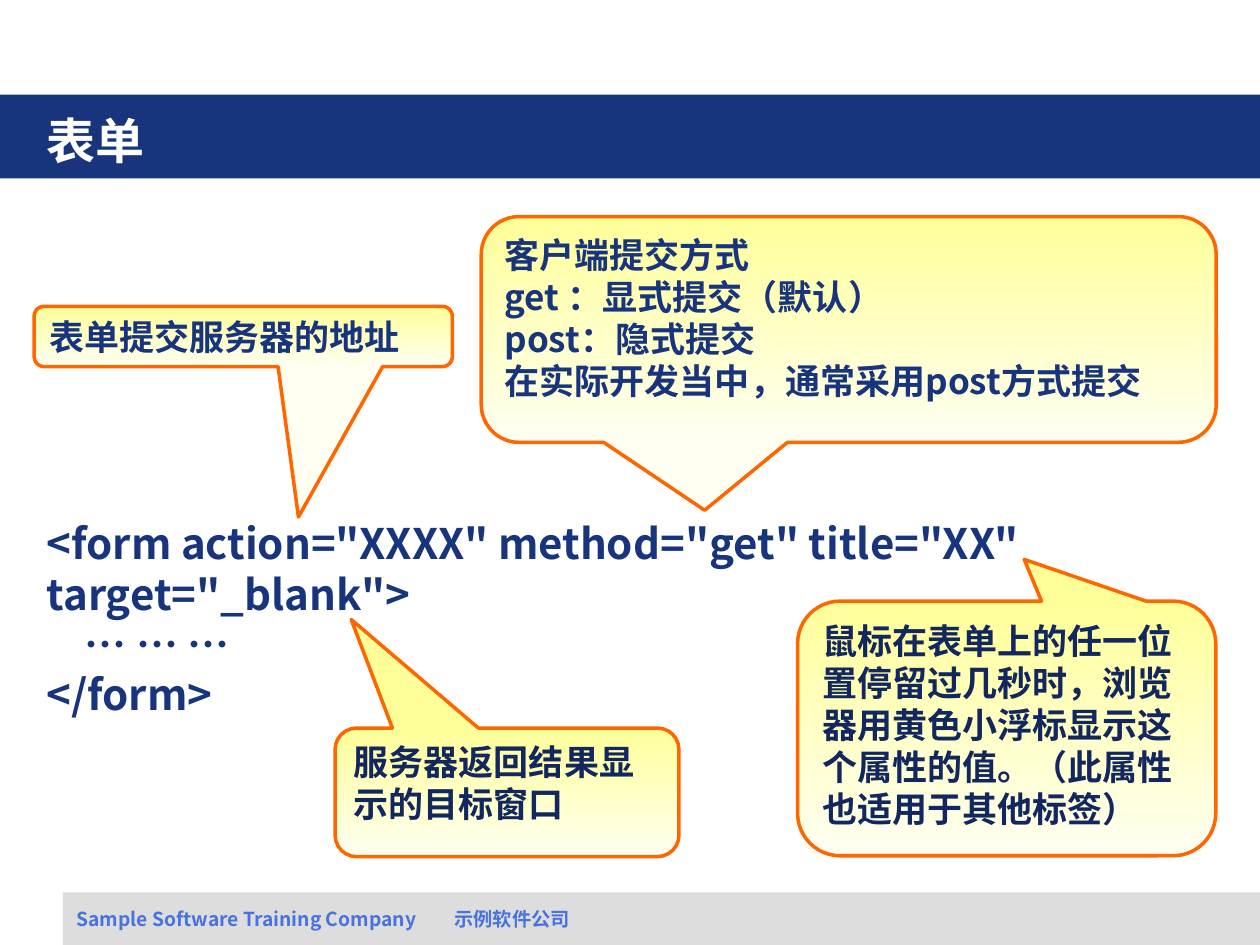
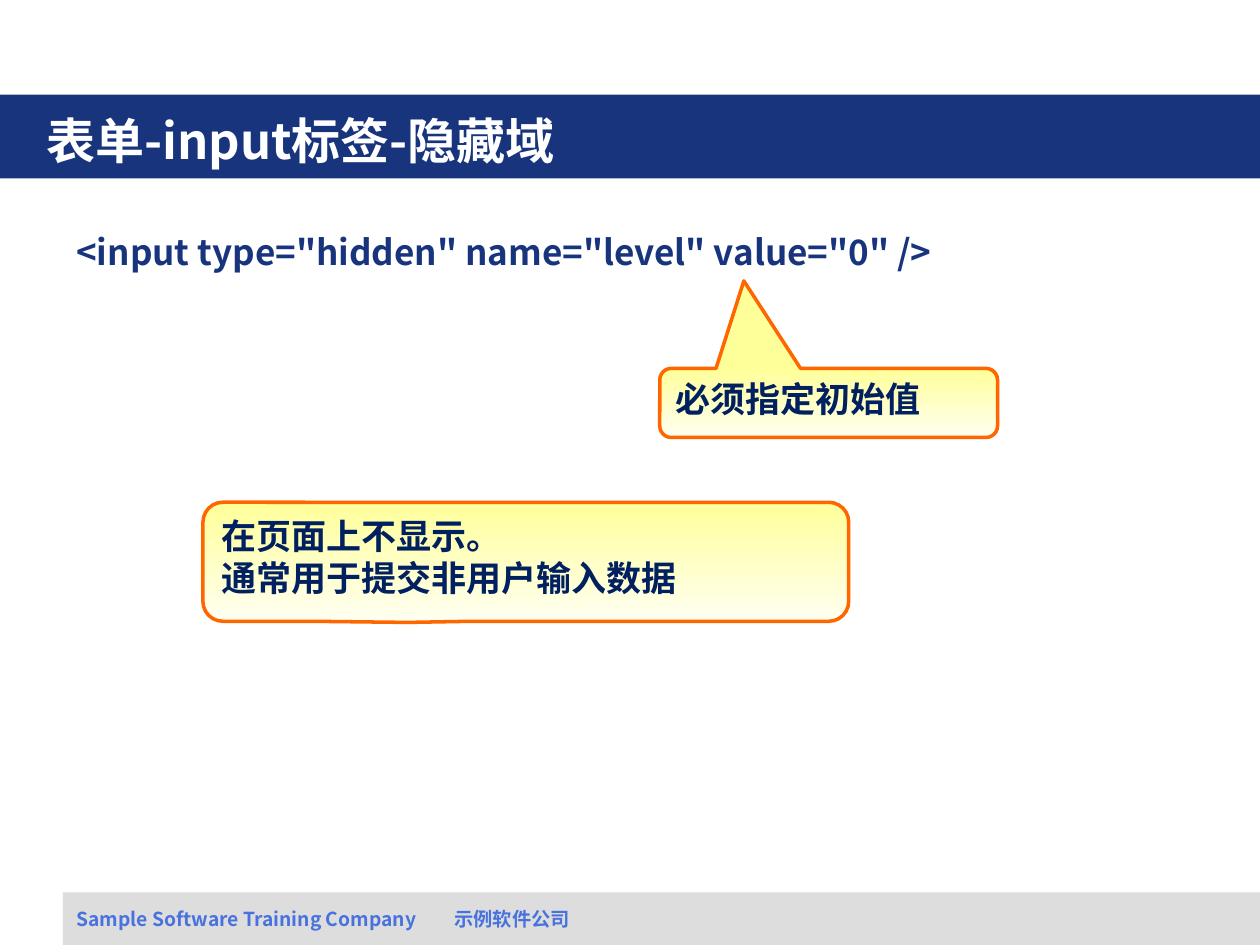
"""Builds two slides on HTML forms with annotated code."""
from dataclasses import dataclass

from lxml import etree
from pptx import Presentation
from pptx.dml.color import RGBColor
from pptx.enum.shapes import MSO_SHAPE
from pptx.enum.text import MSO_ANCHOR, PP_ALIGN
from pptx.oxml.ns import qn
from pptx.shapes.autoshape import Shape
from pptx.slide import Slide
from pptx.util import Pt

RECTANGLE = MSO_SHAPE.RECTANGLE
CALLOUT = MSO_SHAPE.ROUNDED_RECTANGULAR_CALLOUT
TOP, MIDDLE = MSO_ANCHOR.TOP, MSO_ANCHOR.MIDDLE
LEFT = PP_ALIGN.LEFT


@dataclass(frozen=True)
class Theme:
    font: str = "Noto Sans CJK SC"
    navy: str = "17347D"
    dark_navy: str = "11275E"
    midnight: str = "002060"
    white: str = "FFFFFF"
    footer_band: str = "DDDDDD"
    footer_text: str = "4872DD"
    callout_top: str = "FFFF99"
    callout_bottom: str = "FFFFF2"
    callout_line: str = "FF6600"
    title_size: int = 28
    code_size: int = 24
    body_size: int = 20
    footer_size: int = 11


THEME = Theme()
SLIDE_WIDTH, SLIDE_HEIGHT = 720, 540
CORNER = 0.167
FOOTER = "Sample Software Training Company\t示例软件公司"
FOOTER_TAB = 193


@dataclass(frozen=True)
class Box:
    left: float
    top: float
    width: float
    height: float

    def lengths(self) -> tuple[Pt, Pt, Pt, Pt]:
        return Pt(self.left), Pt(self.top), Pt(self.width), Pt(self.height)


@dataclass(frozen=True)
class Style:
    size: int
    color: str
    anchor: MSO_ANCHOR = TOP


@dataclass(frozen=True)
class Callout:
    box: Box
    tip: tuple[float, float]
    text: str
    color: str


@dataclass(frozen=True)
class Page:
    title: str
    code: str
    code_box: Box
    code_size: int
    callouts: tuple[Callout, ...]


TITLE_BAND = Box(0, 54, SLIDE_WIDTH, 48)
TITLE_BOX = Box(19.5, 57.5, 595, 44.5)
FOOTER_BAND = Box(36, 510, SLIDE_WIDTH - 36, 30)
FOOTER_BOX = Box(36.5, 514.75, 657, 25)

PAGES = (
    Page(
        "表单",
        '<form action="XXXX" method="get" title="XX" target="_blank">\n'
        "    … … …\n"
        "</form>",
        Box(19.5, 292.25, 686, 122.5),
        THEME.code_size,
        (
            Callout(Box(19.5, 175, 239, 34.5), (0.132, 2.991),
                    "表单提交服务器的地址", THEME.navy),
            Callout(Box(275, 123.75, 420, 129), (-0.196, 0.801),
                    "客户端提交方式\nget ：显式提交（默认）\npost：隐式提交\n"
                    "在实际开发当中，通常采用post方式提交", THEME.navy),
            Callout(Box(455.75, 343.5, 239, 145.5), (0.042, -0.664),
                    "鼠标在表单上的任一位置停留过几秒时，浏览器用黄色小浮标"
                    "显示这个属性的值。（此属性也适用于其他标签）", THEME.dark_navy),
            Callout(Box(191.5, 416, 196.5, 73.5), (-0.453, -1.344),
                    "服务器返回结果显示的目标窗口", THEME.dark_navy),
        ),
    ),
    Page(
        "表单-input标签-隐藏域",
        '<input type="hidden" name="level" value="0" />',
        Box(36.5, 128, 641, 31.5),
        THEME.body_size,
        (
            Callout(Box(377, 210.5, 193, 39.5), (-0.251, -1.766),
                    "必须指定初始值", THEME.midnight),
            Callout(Box(116, 287, 369, 68), (-0.183, 0.51),
                    "在页面上不显示。\n通常用于提交非用户输入数据", THEME.midnight),
        ),
    ),
)


def write(shape: Shape, text: str, style: Style) -> None:
    frame = shape.text_frame
    frame.text = text
    frame.word_wrap = True
    frame.vertical_anchor = style.anchor
    for paragraph in frame.paragraphs:
        paragraph.alignment = LEFT
        for run in paragraph.runs:
            run.font.size = Pt(style.size)
            run.font.bold = True
            run.font.color.rgb = RGBColor.from_string(style.color)
            run.font.name = THEME.font
            east_asian = etree.SubElement(run.font._element, qn("a:ea"))
            east_asian.set("typeface", THEME.font)


def add_text(slide: Slide, box: Box, text: str, style: Style) -> Shape:
    label = slide.shapes.add_textbox(*box.lengths())
    write(label, text, style)
    return label


def add_band(slide: Slide, box: Box, color: str) -> None:
    band = slide.shapes.add_shape(RECTANGLE, *box.lengths())
    band.shadow.inherit = False
    band.fill.solid()
    band.fill.fore_color.rgb = RGBColor.from_string(color)
    band.line.fill.background()


def add_callout(slide: Slide, callout: Callout) -> None:
    bubble = slide.shapes.add_shape(CALLOUT, *callout.box.lengths())
    bubble.shadow.inherit = False
    for index, value in enumerate((*callout.tip, CORNER)):
        bubble.adjustments[index] = value
    bubble.fill.gradient()
    bubble.fill.gradient_angle = 270
    colors = (THEME.callout_top, THEME.callout_bottom)
    for stop, color in zip(bubble.fill.gradient_stops, colors):
        stop.color.rgb = RGBColor.from_string(color)
    bubble.line.color.rgb = RGBColor.from_string(THEME.callout_line)
    bubble.line.width = Pt(2)
    write(bubble, callout.text, Style(THEME.body_size, callout.color))


def add_footer(slide: Slide) -> None:
    add_band(slide, FOOTER_BAND, THEME.footer_band)
    footer = add_text(slide, FOOTER_BOX, FOOTER,
                      Style(THEME.footer_size, THEME.footer_text))
    properties = footer.text_frame.paragraphs[0]._p.get_or_add_pPr()
    tabs = etree.SubElement(properties, qn("a:tabLst"))
    etree.SubElement(tabs, qn("a:tab"), pos=str(Pt(FOOTER_TAB)), algn="l")


def add_page(deck: Presentation, page: Page) -> None:
    slide = deck.slides.add_slide(deck.slide_layouts[6])
    add_band(slide, TITLE_BAND, THEME.navy)
    add_text(slide, TITLE_BOX, page.title,
             Style(THEME.title_size, THEME.white, MIDDLE))
    add_footer(slide)
    add_text(slide, page.code_box, page.code, Style(page.code_size, THEME.navy))
    for callout in page.callouts:
        add_callout(slide, callout)


def main() -> None:
    deck = Presentation()
    deck.slide_width, deck.slide_height = Pt(SLIDE_WIDTH), Pt(SLIDE_HEIGHT)
    for page in PAGES:
        add_page(deck, page)
    deck.save("out.pptx")


if __name__ == "__main__":
    main()
